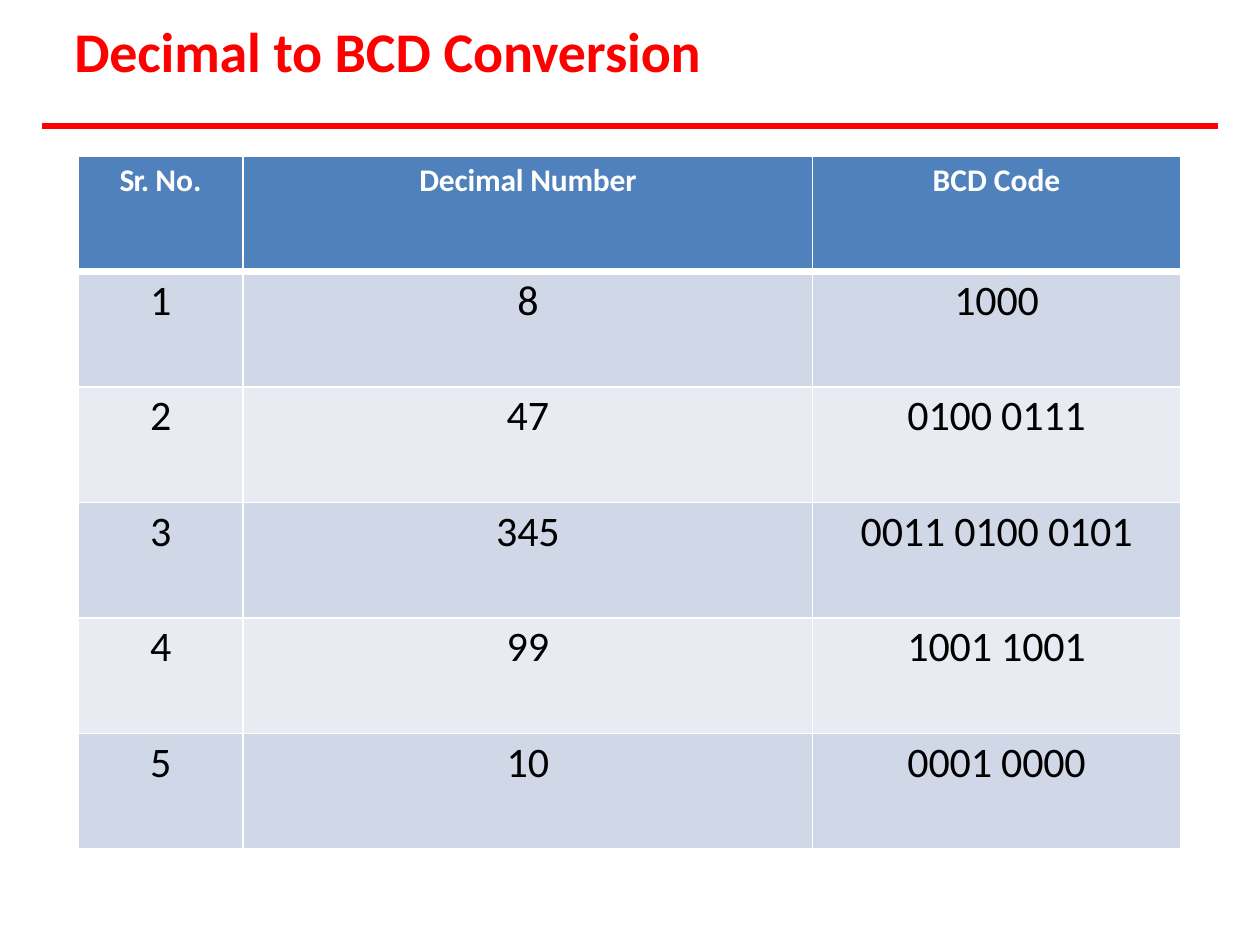
from pptx import Presentation
from pptx.dml.color import RGBColor
from pptx.enum.shapes import MSO_CONNECTOR
from pptx.enum.text import MSO_ANCHOR, PP_ALIGN
from pptx.oxml.ns import qn
from pptx.util import Inches, Pt
from lxml.etree import SubElement


def color(value):
    return RGBColor.from_string(value)


def add_run(paragraph, text, size, text_color, bold, spacing):
    run = paragraph.add_run()
    run.text = text
    run.font.name = "Calibri"
    run.font.size = Pt(size)
    run.font.bold = bold
    run.font.color.rgb = color(text_color)
    run._r.get_or_add_rPr().set("spc", str(spacing))


presentation = Presentation()
presentation.slide_width = Inches(10)
presentation.slide_height = Inches(7.5)
slide = presentation.slides.add_slide(presentation.slide_layouts[5])

title = slide.shapes.title
title.left, title.top = Inches(0.59), Inches(0.12)
title.width, title.height = Inches(5.03), Inches(0.56)
frame = title.text_frame
frame.margin_left = frame.margin_right = frame.margin_bottom = 0
frame.margin_top = Inches(0.01)
frame.vertical_anchor = MSO_ANCHOR.TOP
frame.word_wrap = True
paragraph = frame.paragraphs[0]
paragraph.alignment = PP_ALIGN.LEFT
for text, spacing in [("Decimal ", -10), ("to ", -20), ("BCD ", 0), ("Conversion", -10)]:
    add_run(paragraph, text, 32, "FF0000", True, spacing)

rule = slide.shapes.add_connector(
    MSO_CONNECTOR.STRAIGHT, Inches(0.33), Inches(1), Inches(9.67), Inches(1))
rule.line.color.rgb = color("FF0000")
rule.line.width = Pt(4)
SubElement(rule._element.spPr, qn("a:effectLst"))

header = [
    [("Sr. ", -60), ("No.", 0)],
    [("Decimal Number", -10)],
    [("BCD Code", 0)],
]
conversions = [
    ("8", "1000"),
    ("47", "0100 0111"),
    ("345", "0011 0100 0101"),
    ("99", "1001 1001"),
    ("10", "0001 0000"),
]
rows = [header]
for number, (decimal, code) in enumerate(conversions, 1):
    rows.append([[(str(number), 0)], [(decimal, -10)], [(code, -10)]])

table = slide.shapes.add_table(
    len(rows), 3, Inches(0.62), Inches(1.24), Inches(8.75), Inches(5.5)).table
for column, width in zip(table.columns, [1.31, 4.52, 2.92]):
    column.width = Inches(width)

for row_index, row in enumerate(rows):
    is_header = row_index == 0
    if is_header:
        fill, size, text_color, margin = "4F81BC", 18, "FFFFFF", 0.04
    else:
        fill = "D0D7E7" if row_index % 2 else "E9EBF3"
        size, text_color, margin = 24, "000000", 0.03
    borders = {
        "a:lnL": 1,
        "a:lnR": 1,
        "a:lnT": 4.25 if row_index == 1 else 1,
        "a:lnB": 4.25 if is_header else 1,
    }
    for column_index, runs in enumerate(row):
        cell = table.cell(row_index, column_index)
        cell.margin_left = cell.margin_right = cell.margin_bottom = 0
        cell.margin_top = Inches(margin)
        cell.vertical_anchor = MSO_ANCHOR.TOP
        properties = cell._tc.get_or_add_tcPr()
        for tag, width in borders.items():
            border = SubElement(properties, qn(tag), w=str(Pt(width)))
            SubElement(SubElement(border, qn("a:solidFill")), qn("a:srgbClr"), val="FFFFFF")
        cell.fill.solid()
        cell.fill.fore_color.rgb = color(fill)
        paragraph = cell.text_frame.paragraphs[0]
        paragraph.alignment = PP_ALIGN.CENTER
        for text, spacing in runs:
            add_run(paragraph, text, size, text_color, is_header, spacing)

presentation.save("out.pptx")
